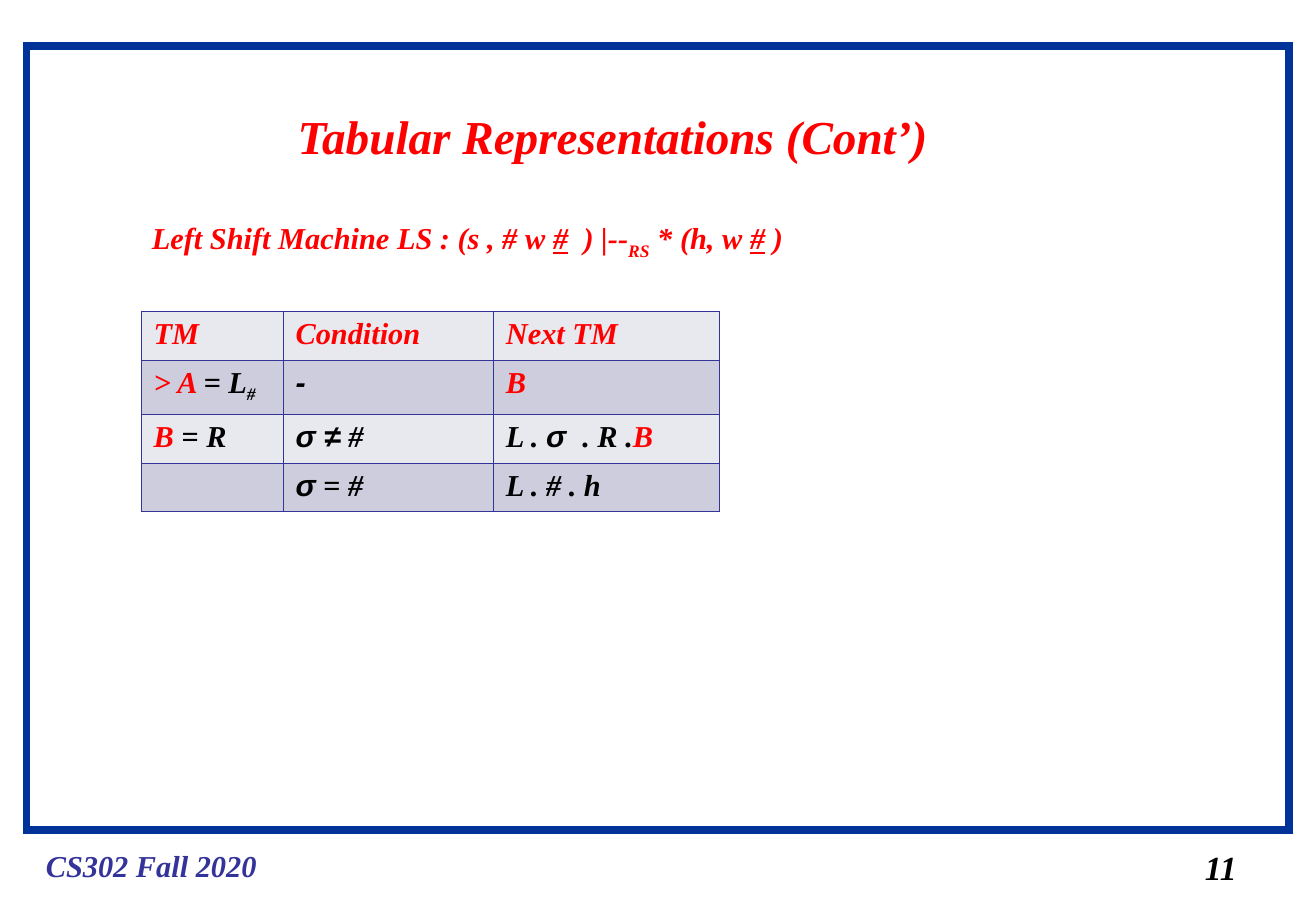
from pptx import Presentation
from pptx.util import Inches, Pt
from pptx.dml.color import RGBColor
from pptx.enum.shapes import MSO_SHAPE
from pptx.oxml import parse_xml
from pptx.oxml.ns import nsdecls

RECTANGLE = MSO_SHAPE.RECTANGLE
RED, BLACK, INDIGO, BLUE = "FF0000", "000000", "333399", "003399"
BANDS = ["E8E8EF", "CDCDDE"]
SERIF, SANS = "Times New Roman", "Arial"


def rgb(code):
    return RGBColor.from_string(code)


def write(para, spans, size, color):
    """Each span is (text, marks): r red, a Arial, u underlined, s subscript."""
    font = para.font
    font.name, font.size, font.bold, font.italic = SERIF, Pt(size), True, True
    font.color.rgb = rgb(color)
    for text, marks in spans:
        span = para.add_run()
        span.text = text
        if "r" in marks:
            span.font.color.rgb = rgb(RED)
        if "a" in marks:
            span.font.name = SANS
        if "u" in marks:
            span.font.underline = True
        if "s" in marks:
            span._r.get_or_add_rPr().set("baseline", "-25000")


deck = Presentation()
deck.slide_width, deck.slide_height = Inches(10.84), Inches(7.5)
page = deck.slides.add_slide(deck.slide_layouts[6])

# Grid of 100 columns by 100 rows
COLUMN, ROW = deck.slide_width / 100, deck.slide_height / 100

# Frame with square corners
frame = page.shapes.add_shape(RECTANGLE, int(2.03 * COLUMN), int(5.04 * ROW),
                              int(95.94 * COLUMN), int(86.1 * ROW))
frame.shadow.inherit = False
frame.fill.background()
frame.line.color.rgb = rgb(BLUE)
frame.line.width = Pt(4.5)
frame.line._get_or_add_ln().append(parse_xml(f'<a:miter {nsdecls("a")} lim="800000"/>'))

# Footer, page number, title and formula
formula = [("Left Shift Machine LS : (s , # w ", ""), ("#", "u"), ("  ) |--", ""),
           ("RS", "s"), (" * (h, w ", ""), ("#", "u"), (" )", "")]
texts = [
    (2.58, 92.3, 24, 5.33, [("CS302 Fall 2020", "")], 18, INDIGO, True),
    (90.65, 92.27, 6, 5.87, [("11", "")], 20, BLACK, True),
    (21.72, 11.07, 54, 7.6, [("Tabular Representations (Cont’)", "")], 28, RED, True),
    (10.64, 23.4, 80.07, 9.87, formula, 18, RED, True),
]
for left, top, width, height, spans, size, color, wrap in texts:
    box = page.shapes.add_textbox(int(left * COLUMN), int(top * ROW),
                                  int(width * COLUMN), int(height * ROW))
    box.text_frame.word_wrap = wrap
    write(box.text_frame.paragraphs[0], spans, size, color)

# Transition table
rows = [
    [[("TM", "r")], [("Condition", "r")], [("Next TM", "r")]],
    [[("> A ", "r"), ("= L", ""), ("#", "s")], [("-", "a")], [("B", "r")]],
    [[("B", "r"), (" = R", "")], [("σ ≠", "a"), (" #", "")],
     [("L . ", ""), ("σ ", "a"), (" . R .", ""), ("B", "r")]],
    [[], [("σ", "a"), (" = #", "")], [("L . # . h", "")]],
]
widths, heights = [10.79, 15.99, 17.16], [5.38, 5.93, 5.38, 5.38]
table = page.shapes.add_table(len(rows), len(widths), int(10.75 * COLUMN), int(34.13 * ROW),
                              int(sum(widths) * COLUMN), int(sum(heights) * ROW)).table
table.first_row = table.horz_banding = False
for column, width in zip(table.columns, widths):
    column.width = int(width * COLUMN)
for r, cells in enumerate(rows):
    table.rows[r].height = int(heights[r] * ROW)
    for c, spans in enumerate(cells):
        cell = table.cell(r, c)
        write(cell.text_frame.paragraphs[0], spans, 18, BLACK)
        # Borders come before the fill in the cell's properties
        for side in ("lnL", "lnR", "lnT", "lnB"):
            cell._tc.get_or_add_tcPr().append(parse_xml(
                f'<a:{side} {nsdecls("a")} w="{Pt(0.45)}"><a:solidFill>'
                f'<a:srgbClr val="{INDIGO}"/></a:solidFill></a:{side}>'))
        cell.fill.solid()
        cell.fill.fore_color.rgb = rgb(BANDS[r % 2])

deck.save("out.pptx")
